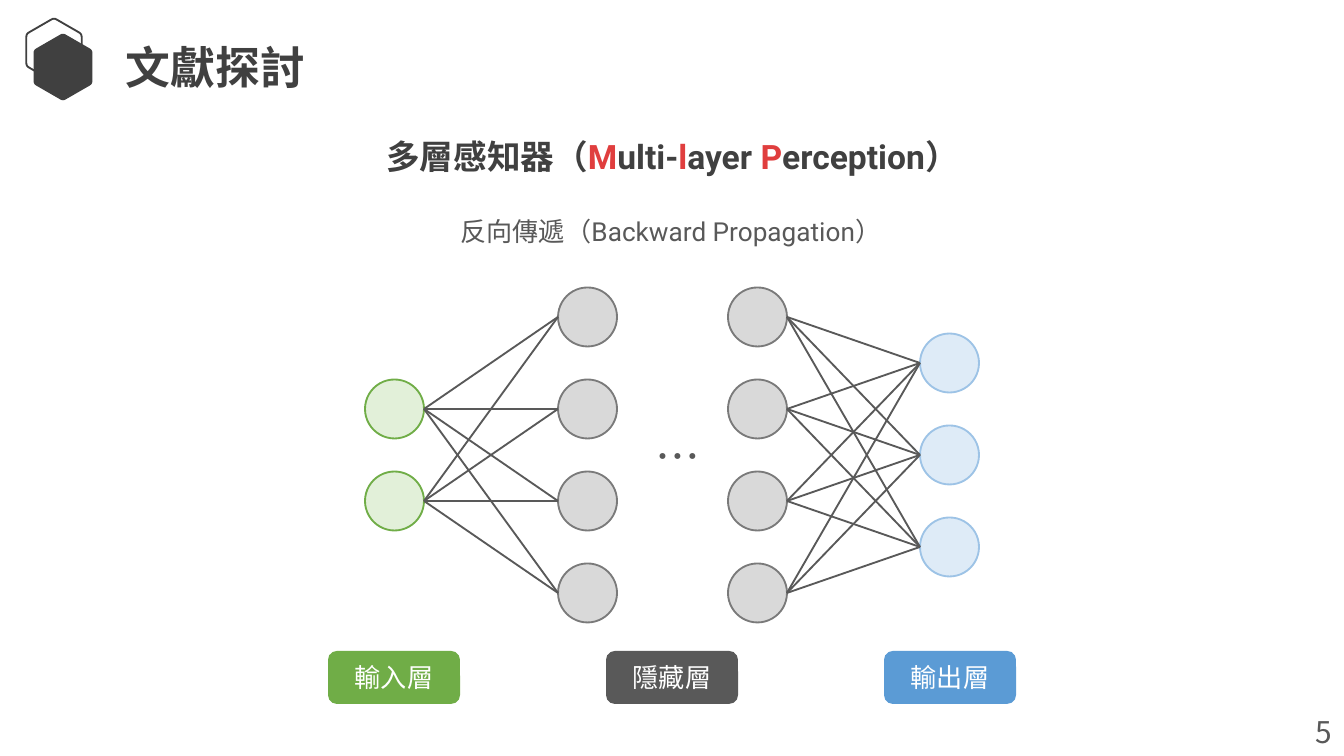
import math

import pptx
import pptx.util
import pptx.dml.color
import pptx.enum.shapes
import pptx.enum.text
import pptx.oxml.ns
from lxml import etree

RGB = pptx.dml.color.RGBColor
SHAPE = pptx.enum.shapes.MSO_SHAPE
ALIGN = pptx.enum.text.PP_ALIGN
ANCHOR = pptx.enum.text.MSO_ANCHOR
qn = pptx.oxml.ns.qn

DARK = RGB(0x40, 0x40, 0x40)
GREY = RGB(0x59, 0x59, 0x59)
MID_GREY = RGB(0x7A, 0x7A, 0x7A)
LIGHT_GREY = RGB(0xD9, 0xD9, 0xD9)
RED = RGB(0xE0, 0x3E, 0x3E)
GREEN = RGB(0x70, 0xAD, 0x47)
LIGHT_GREEN = RGB(0xE2, 0xF0, 0xD9)
BLUE = RGB(0x5B, 0x9B, 0xD5)
MID_BLUE = RGB(0x9D, 0xC3, 0xE6)
LIGHT_BLUE = RGB(0xDE, 0xEB, 0xF7)
WHITE = RGB(0xFF, 0xFF, 0xFF)
CJK = "Noto Sans CJK JP"

# Content
TITLE = "文獻探討"
HEADING = [
    ("多層感知器（", DARK, CJK), ("M", RED, "Roboto"), ("ulti-", DARK, "Roboto"),
    ("l", RED, "Roboto"), ("ayer ", DARK, "Roboto"), ("P", RED, "Roboto"),
    ("erception", DARK, "Roboto"), ("）", DARK, CJK),
]
SUBHEADING = "反向傳遞（Backward Propagation）"
PAGE = "5"
# Layers: left, number of nodes, fill, line
LAYERS = [
    (365, 2, LIGHT_GREEN, GREEN),
    (558, 4, LIGHT_GREY, MID_GREY),
    (728, 4, LIGHT_GREY, MID_GREY),
    (920, 3, LIGHT_BLUE, MID_BLUE),
]
LINKED = [(0, 1), (2, 3)]
LABELS = [("輸入層", GREEN), ("隱藏層", GREY), ("輸出層", BLUE)]
# Hexagons: centre x, centre y, radius, fill, line
HEXAGONS = [(54, 50, 32, None, DARK), (63, 67, 34, DARK, None)]

NODE, ROW_STEP, MIDDLE_Y = 59, 92, 455
LABEL_LEFT, LABEL_STEP = 328, 278
CORNER, CURVE_STEPS = 3, 4


def px(n):
    return pptx.util.Emu(round(n * 914400 / 134.4))


def write(s, text, size, color=GREY, font=CJK, bold=False, align=ALIGN.CENTER,
          anchor=ANCHOR.MIDDLE, wrap=True, inset=None):
    """Fill a shape with one paragraph; text is a string or (text, color, font) runs."""
    tf = s.text_frame
    tf.auto_size = pptx.enum.text.MSO_AUTO_SIZE.NONE
    tf.word_wrap = wrap
    tf.vertical_anchor = anchor
    if inset:
        tf.margin_left = tf.margin_right = px(inset[0])
        tf.margin_top = tf.margin_bottom = px(inset[1])
    p = tf.paragraphs[0]
    p.alignment = align
    runs = [(text, color, font)] if isinstance(text, str) else text
    for words, run_color, run_font in runs:
        r = p.add_run()
        r.text = words
        r.font.size = pptx.util.Pt(size)
        r.font.bold = bold
        r.font.color.rgb = run_color
        r.font.name = run_font
        etree.SubElement(r.font._element, qn("a:ea")).set("typeface", CJK)


def paint(s, fill, line):
    s.shadow.inherit = False
    if fill is None:
        s.fill.background()
    else:
        s.fill.solid()
        s.fill.fore_color.rgb = fill
    if line is None:
        s.line.fill.background()
    else:
        s.line.color.rgb = line
        s.line.width = pptx.util.Pt(1)


def add_shape(shapes, kind, left, top, width, height, fill=None, line=None):
    s = shapes.add_shape(kind, px(left), px(top), px(width), px(height))
    paint(s, fill, line)
    return s


def add_text(shapes, box, text, size, **style):
    write(shapes.add_textbox(*map(px, box)), text, size, **style)


def add_line(shapes, x1, y1, x2, y2):
    s = shapes.add_connector(pptx.enum.shapes.MSO_CONNECTOR.STRAIGHT,
                             px(x1), px(y1), px(x2), px(y2))
    s.line.color.rgb = GREY
    s.line.width = pptx.util.Pt(1)
    etree.SubElement(s._element.spPr, qn("a:effectLst"))


def add_hexagon(shapes, cx, cy, radius, fill, line):
    """Pointed-top hexagon whose corners are rounded by quadratic curves."""
    corners = [(cx + radius * math.sin(math.radians(a)),
                cy - radius * math.cos(math.radians(a))) for a in range(0, 360, 60)]
    cut = CORNER / radius
    points = []
    for i, corner in enumerate(corners):
        before, after = corners[i - 1], corners[(i + 1) % 6]
        for step in range(CURVE_STEPS + 1):
            t = step / CURVE_STEPS
            points.append(tuple(
                px(c + cut * ((1 - t) ** 2 * (b - c) + t ** 2 * (a - c)))
                for b, c, a in zip(before, corner, after)))
    builder = shapes.build_freeform(*points[0])
    builder.add_line_segments(points[1:], close=True)
    paint(builder.convert_to_shape(), fill, line)


def node_centres(count):
    return [MIDDLE_Y + (i - (count - 1) / 2) * ROW_STEP for i in range(count)]


def main():
    prs = pptx.Presentation()
    prs.slide_width, prs.slide_height = px(1344), px(756)
    slide = prs.slides.add_slide(prs.slide_layouts[5])
    shapes = slide.shapes

    # Title, headings and page number
    title = shapes.title
    title.left, title.top, title.width, title.height = map(px, (117, 35, 238, 64))
    write(title, TITLE, 24, color=DARK, bold=True, align=ALIGN.LEFT,
          anchor=ANCHOR.TOP, inset=(9, 5))
    add_text(shapes, (278, 129, 789, 54), HEADING, 18, bold=True)
    subheading = add_shape(shapes, SHAPE.ROUNDED_RECTANGLE, 372, 206, 598, 50)
    write(subheading, SUBHEADING, 14, font="Roboto")
    add_text(shapes, (1302, 707, 42, 49), PAGE, 16, align=ALIGN.LEFT,
             anchor=ANCHOR.TOP, wrap=False)

    # Hexagon ornament
    for hexagon in HEXAGONS:
        add_hexagon(shapes, *hexagon)

    # Network nodes
    for left, count, fill, line in LAYERS:
        for y in node_centres(count):
            add_shape(shapes, SHAPE.OVAL, left, y - NODE / 2, NODE, NODE, fill, line)

    # Links between neighbouring layers
    for a, b in LINKED:
        for y1 in node_centres(LAYERS[a][1]):
            for y2 in node_centres(LAYERS[b][1]):
                add_line(shapes, LAYERS[a][0] + NODE, y1, LAYERS[b][0], y2)
    add_text(shapes, (642, 422, 59, 50), "…", 24, anchor=ANCHOR.TOP)

    # Layer labels
    for i, (text, fill) in enumerate(LABELS):
        s = add_shape(shapes, SHAPE.ROUNDED_RECTANGLE, LABEL_LEFT + i * LABEL_STEP,
                      651, 132, 53, fill)
        write(s, text, 14, color=WHITE, font="Arial")

    prs.save("out.pptx")


if __name__ == "__main__":
    main()
